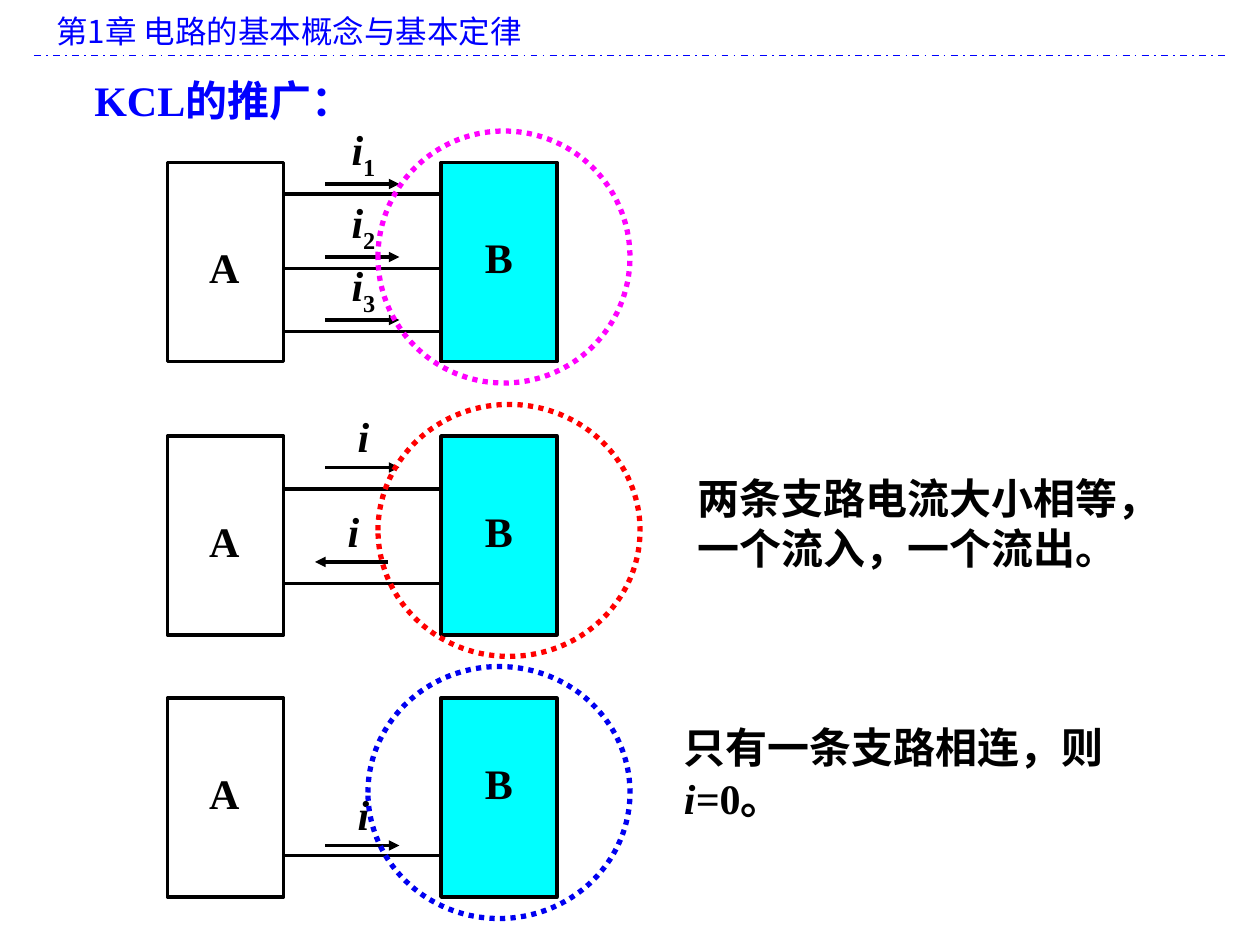
from pptx import Presentation, util as u
from pptx.dml.color import RGBColor
from pptx.enum import dml, shapes, text
from pptx.oxml.ns import qn
from lxml import etree

SERIF, SANS = "Times New Roman", "Noto Sans CJK SC"
BLACK, BLUE, CYAN = "000000", "0000FF", "00FFFF"
DASH, ALIGN = dml.MSO_LINE, text.PP_ALIGN
MID, TOP = text.MSO_ANCHOR.MIDDLE, text.MSO_ANCHOR.TOP

# wires: height of wire, height of arrow, subscript, flows towards B
CIRCUITS = [
    dict(top=1.29, drop=0.5, ring=(3, 1.04, 2, 2), color="FF00FF",
         wires=[(1.54, 1.46, "1", True), (2.13, 2.04, "2", True),
                (2.63, 2.54, "3", True)]),
    dict(top=3.46, drop=0.5, ring=(3, 3.21, 2.08, 2), color="FF0000",
         wires=[(3.88, 3.71, "", True), (4.63, 4.46, "", False)]),
    dict(top=5.54, drop=0.42, ring=(2.92, 5.29, 2.08, 2), color="0000F0",
         wires=[(6.79, 6.71, "", True)]),
]
# each note: box, then paragraphs of (words, format) runs
NOTES = [
    ((5.44, 3.7, 3.9, 0.9), [[("两条支路电流大小相等，", {})],
                             [("一个流入，一个流出。", {})]]),
    ((5.33, 5.68, 4.42, 0.9), [[("只有一条支路相连，则", {})],
                               [("i=", {"italic": True}), ("0。", {})]]),
]
LEFT_A, LEFT_B, WIDE, HIGH = 1.33, 3.5, 0.92, 1.58

deck = Presentation()
deck.slide_width, deck.slide_height = u.Inches(10), u.Inches(7.5)
slide = deck.slides.add_slide(deck.slide_layouts[6])


def rgb(code):
    return RGBColor.from_string(code)


def inches(nums):
    return [u.Inches(n) for n in nums]


def write(box, paras, align=ALIGN.LEFT, anchor=MID, size=24, face=SERIF,
          color=BLACK, bold=True):
    frame = slide.shapes.add_textbox(*inches(box)).text_frame
    frame.word_wrap, frame.vertical_anchor = True, anchor
    frame.auto_size = text.MSO_AUTO_SIZE.SHAPE_TO_FIT_TEXT
    for n, runs in enumerate(paras):
        para = frame.add_paragraph() if n else frame.paragraphs[0]
        para.alignment = align
        for words, extra in runs:
            run = para.add_run()
            run.text = words
            look = {"name": face, "size": u.Pt(size), "bold": bold,
                    "italic": extra.get("italic", False)}
            for key, val in look.items():
                setattr(run.font, key, val)
            run.font.color.rgb = rgb(color)
            props = run.font._element
            east = etree.SubElement(props, qn("a:ea"))
            east.set("typeface", SANS)
            if extra.get("sub"):
                props.set("baseline", "-25000")


def stroke(item, color=BLACK, width=2, dash=None):
    item.line.color.rgb = rgb(color)
    item.line.width = u.Pt(width)
    if dash:
        item.line.dash_style = dash


def draw(kind, box, fill=None, **pen):
    item = slide.shapes.add_shape(kind, *inches(box))
    item.shadow.inherit = False
    if fill:
        item.fill.solid()
        item.fill.fore_color.rgb = rgb(fill)
    else:
        item.fill.background()
    stroke(item, **pen)


def rule(x1, x2, y, arrow=False, **pen):
    """Draw a level line, with an arrowhead at x2 if asked."""
    item = slide.shapes.add_connector(shapes.MSO_CONNECTOR.STRAIGHT,
                                      *inches((x1, y, x2, y)))
    stroke(item, **pen)
    if arrow:
        tip = etree.SubElement(item.line._get_or_add_ln(), qn("a:tailEnd"))
        tip.set("type", "triangle")
    etree.SubElement(item._element.spPr, qn("a:effectLst"))


def circuit(top, drop, ring, color, wires):
    rect = shapes.MSO_SHAPE.RECTANGLE
    draw(rect, (LEFT_A, top, WIDE, HIGH))
    draw(rect, (LEFT_B, top, WIDE, HIGH), CYAN)
    write((1.56, top + drop + 0.08, 0.44, 0.5), [[("A", {})]], ALIGN.CENTER)
    write((3.75, top + drop, 0.42, 0.5), [[("B", {})]], ALIGN.CENTER)
    for wire, flow, sub, inward in wires:
        rule(LEFT_A + WIDE, LEFT_B, wire)
        ends = (2.58, 3.17) if inward else (3.08, 2.5)
        rule(*ends, flow, arrow=True)
        runs = [("i", {"italic": True})]
        if sub:
            runs.append((sub, {"sub": True}))
        write((min(ends) + 0.08, flow - 0.5, 0.45, 0.5), [runs], ALIGN.CENTER)
    draw(shapes.MSO_SHAPE.OVAL, ring, color=color, width=3,
         dash=DASH.ROUND_DOT)


write((0.35, 0.05, 9.37, 0.4), [[("第1章 电路的基本概念与基本定律", {})]],
      anchor=TOP, size=18, face=SANS, color=BLUE, bold=False)
rule(0.27, 9.72, 0.44, color=BLUE, width=1, dash=DASH.DASH_DOT)
write((0.65, 0.54, 5.02, 0.5), [[("KCL的推广：", {})]], ALIGN.JUSTIFY,
      color=BLUE)
for plan in CIRCUITS:
    circuit(**plan)
for box, paras in NOTES:
    write(box, paras)

deck.save("out.pptx")
